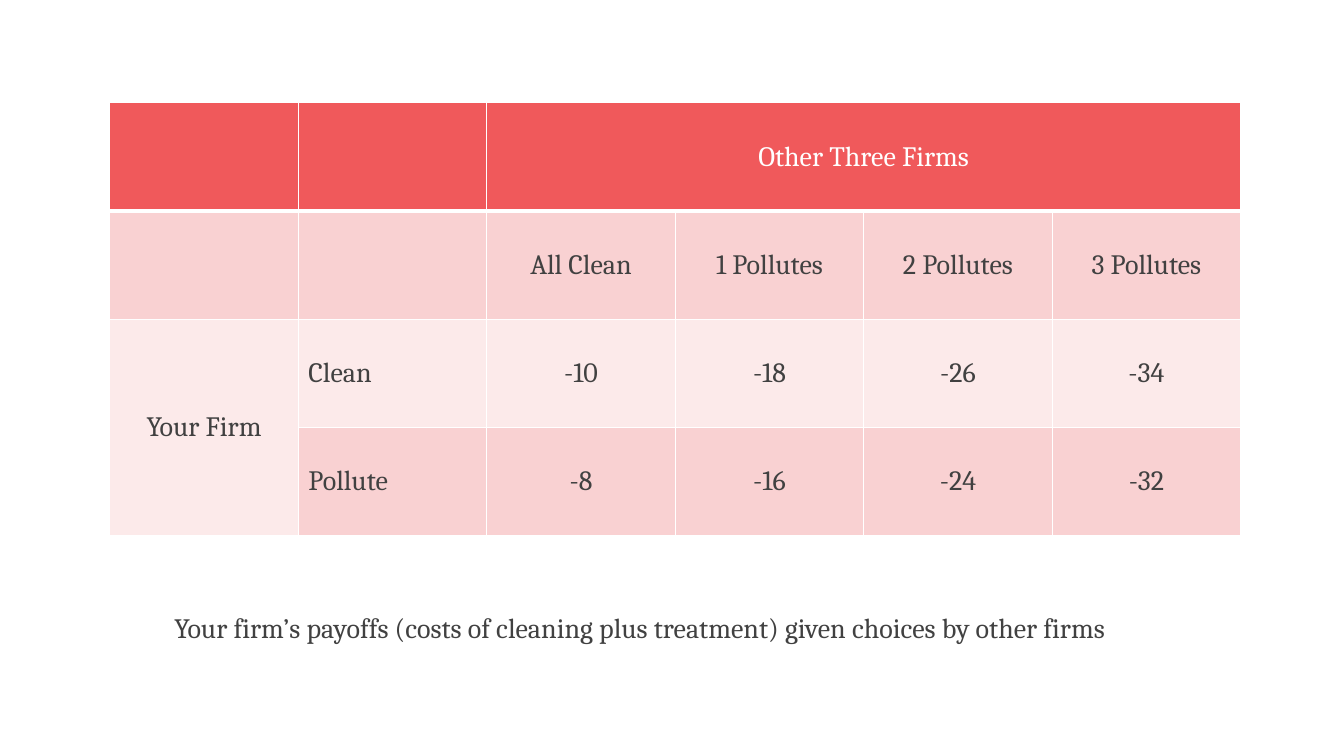
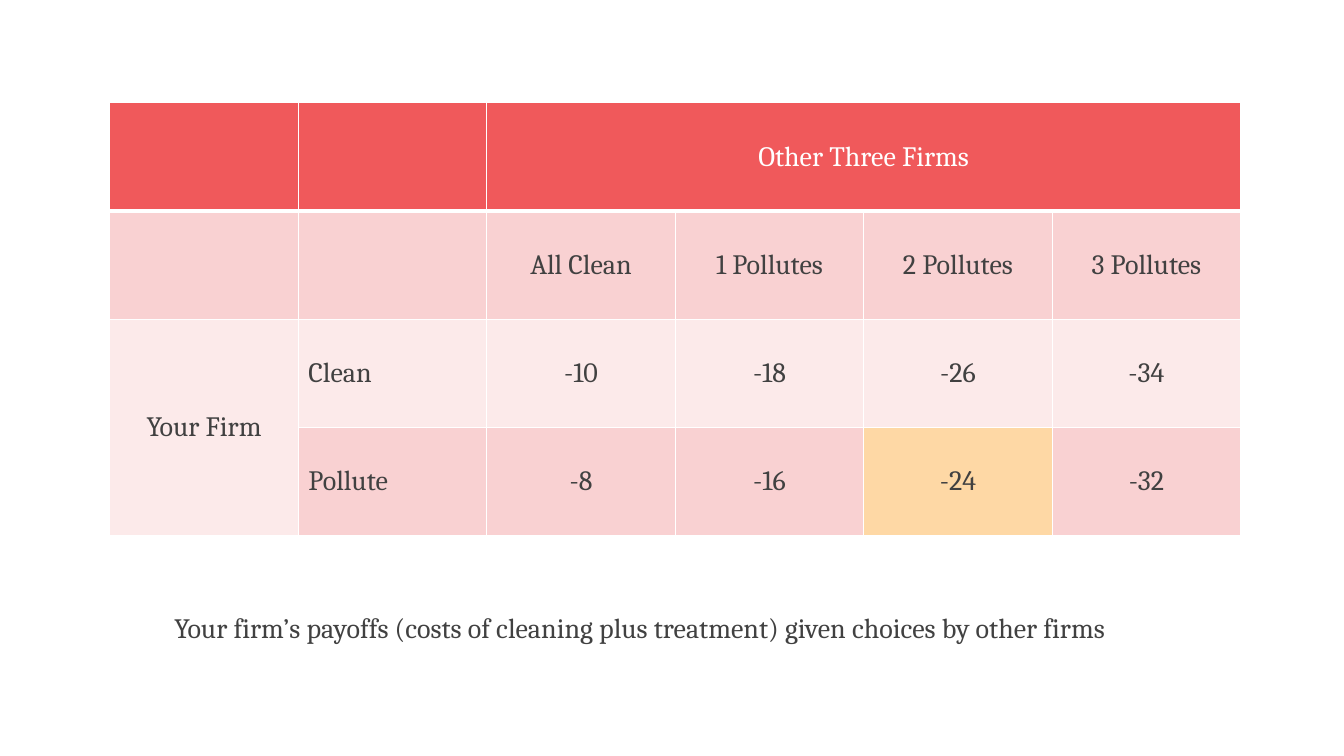
"""Build two payoff-table slides, the second with one outcome highlighted."""
from dataclasses import dataclass

from pptx import Presentation
from pptx.dml.color import RGBColor
from pptx.enum.text import MSO_ANCHOR as Anchor, PP_ALIGN as Align
from pptx.oxml import parse_xml
from pptx.oxml.ns import nsdecls
from pptx.util import Pt


@dataclass(frozen=True)
class Theme:
    header: str = "F0595B"
    band_dark: str = "F9D1D2"
    band_light: str = "FCEAEA"
    highlight: str = "FED8A5"
    text: str = "414141"
    white: str = "FFFFFF"
    font: str = "Cambria"
    size: float = 20
    thin: float = 1
    thick: float = 3


theme = Theme()


def write(frame, text, color=theme.text, align=Align.LEFT):
    para = frame.paragraphs[0]
    para.alignment = align
    span = para.add_run()
    span.text = text
    span.font.name = theme.font
    span.font.size = Pt(theme.size)
    span.font.bold = False
    span.font.color.rgb = RGBColor.from_string(color)


def add_border(cell, side, width):
    cell._tc.get_or_add_tcPr().append(parse_xml(
        f'<a:ln{side} {nsdecls("a")} w="{Pt(width)}"><a:solidFill>'
        f'<a:srgbClr val="{theme.white}"/></a:solidFill></a:ln{side}>'))


PAYOFFS = [
    ["", "", "Other Three Firms", "", "", ""],
    ["", "", "All Clean", "1 Pollutes", "2 Pollutes", "3 Pollutes"],
    ["Your Firm", "Clean", "-10", "-18", "-26", "-34"],
    ["", "Pollute", "-8", "-16", "-24", "-32"],
]
ROW_FILLS = [theme.header, theme.band_dark, theme.band_light, theme.band_dark]
CAPTION = "Your firm’s payoffs (costs of cleaning plus treatment) given choices by other firms"
COLUMN_WIDTH, ROW_HEIGHT = 134.64, 77.22
LABEL_COLUMN = 1

deck = Presentation()
deck.slide_width, deck.slide_height = Pt(960), Pt(540)
blank_layout = deck.slide_layouts.get_by_name("Blank")

for highlighted in (None, (3, 4)):
    page = deck.slides.add_slide(blank_layout)
    row_count, column_count = len(PAYOFFS), len(PAYOFFS[0])
    table = page.shapes.add_table(
        row_count, column_count, Pt(78.5), Pt(73.5),
        Pt(COLUMN_WIDTH * column_count), Pt(ROW_HEIGHT * row_count)).table
    for column in table.columns:
        column.width = Pt(COLUMN_WIDTH)
    for row in table.rows:
        row.height = Pt(ROW_HEIGHT)
    table.cell(0, 2).merge(table.cell(0, 5))
    table.cell(2, 0).merge(table.cell(3, 0))

    for row_index, texts in enumerate(PAYOFFS):
        top = theme.thick if row_index == 1 else theme.thin
        bottom = theme.thick if row_index == 0 else theme.thin
        for column_index, text in enumerate(texts):
            cell = table.cell(row_index, column_index)
            for side, width in (("L", theme.thin), ("R", theme.thin), ("T", top), ("B", bottom)):
                add_border(cell, side, width)
            is_highlighted = (row_index, column_index) == highlighted
            fill = theme.highlight if is_highlighted else ROW_FILLS[row_index]
            cell.fill.solid()
            cell.fill.fore_color.rgb = RGBColor.from_string(fill)
            cell.vertical_anchor = Anchor.MIDDLE
            if text:
                write(cell.text_frame, text,
                      color=theme.white if row_index == 0 else theme.text,
                      align=Align.LEFT if column_index == LABEL_COLUMN else Align.CENTER)

    box = page.shapes.add_textbox(Pt(117.5), Pt(432.5), Pt(744.5), Pt(31.5))
    box.text_frame.word_wrap = True
    write(box.text_frame, CAPTION)

deck.save("out.pptx")
